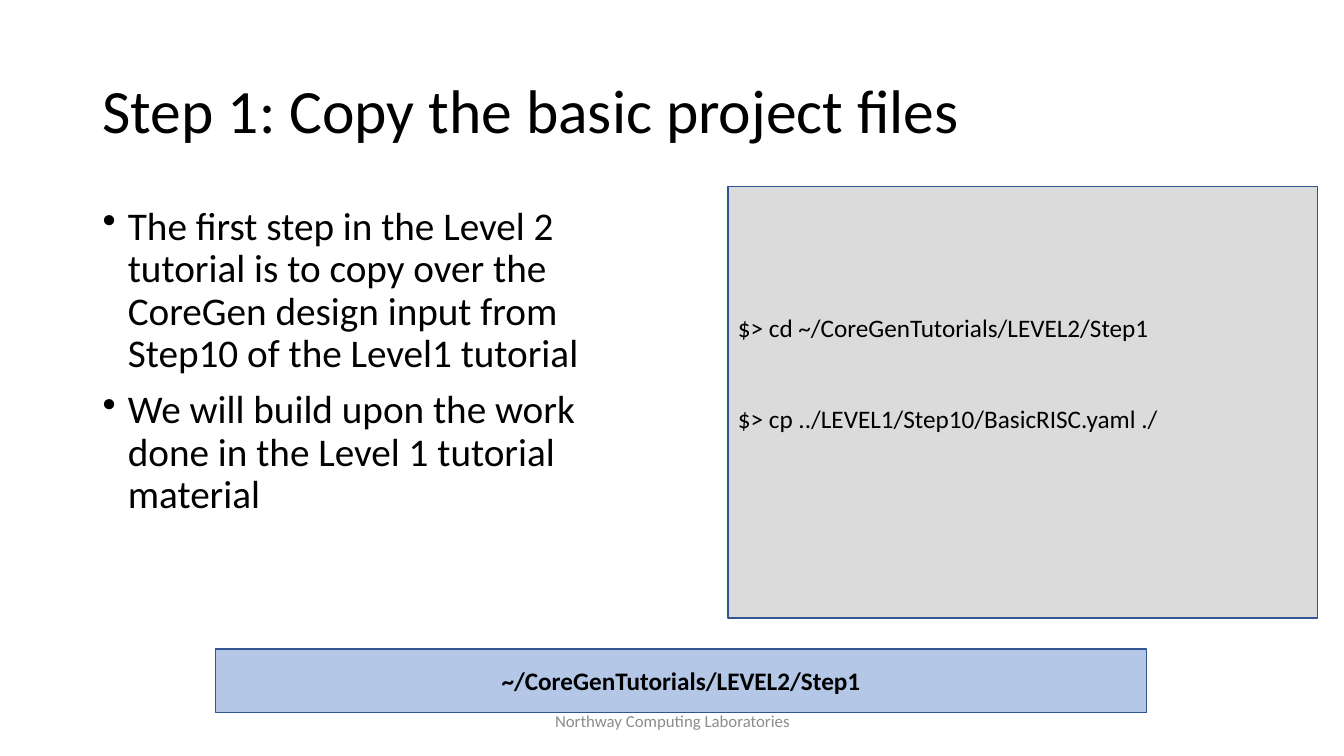
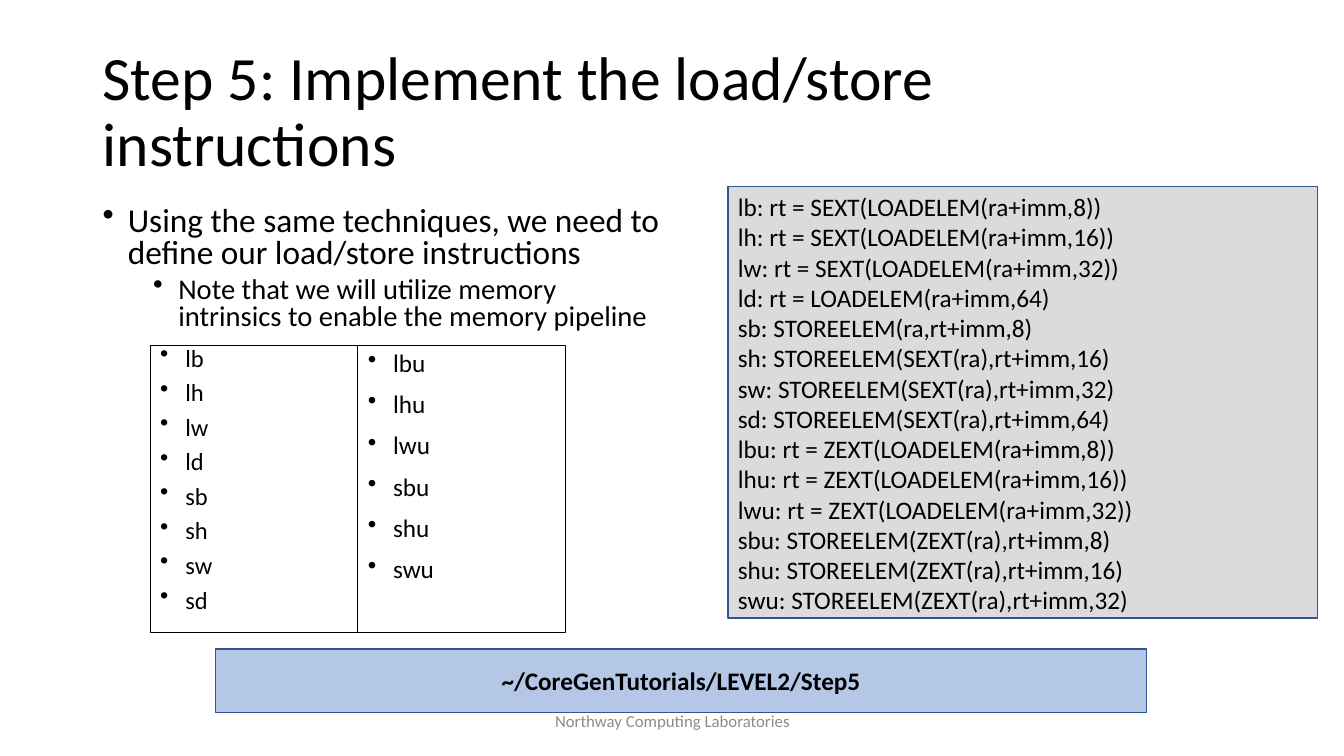
from dataclasses import dataclass
from typing import Optional

import lxml.etree
import pptx
import pptx.dml.color
import pptx.enum.shapes
import pptx.enum.text
import pptx.oxml.ns
import pptx.util

Inches = pptx.util.Inches
Pt = pptx.util.Pt
ALIGN = pptx.enum.text.PP_ALIGN
ANCHOR = pptx.enum.text.MSO_ANCHOR

FONT = "Calibri"
BLACK, GREY = "000000", "8C8C8C"
CODE_FILL, PATH_FILL, PANEL_LINE = "DBDBDB", "B4C7E7", "325491"
FOOTER = "Northway Computing Laboratories"


@dataclass(frozen=True)
class Box:
    left: float
    top: float
    width: float
    height: float


@dataclass(frozen=True)
class TextStyle:
    size: float
    color: str = BLACK
    bold: bool = False
    align: ALIGN = ALIGN.LEFT
    line_spacing: float = 1.0
    space_before: float = 0
    bullet_indent: Optional[float] = None
    level: int = 0


@dataclass(frozen=True)
class Line:
    text: str
    style: TextStyle


@dataclass(frozen=True)
class Step:
    title: str
    body: list[Line]
    code: list[Line]
    directory: str
    code_inset: float = 0.05


TITLE_BOX = Box(0.92, 0.4, 11.45, 1.45)
BODY_BOX = Box(0.92, 2, 5.75, 4.32)
CODE_BOX = Box(7.22, 1.85, 5.85, 4.28)
PATH_BOX = Box(2.14, 6.44, 9.23, 0.63)
FOOTER_BOX = Box(4.42, 6.95, 4.5, 0.4)
MNEMONIC_BOX = Box(1.49, 3.43, 2.06, 2.85)

TITLE = TextStyle(44, line_spacing=0.9)
PATH = TextStyle(18, bold=True, align=ALIGN.CENTER)
FOOTNOTE = TextStyle(12, GREY, align=ALIGN.CENTER)
CODE = TextStyle(18)
COMMAND = TextStyle(18, space_before=43.2)
POINT = TextStyle(28, line_spacing=0.9, space_before=10, bullet_indent=0.25)
TIGHT_POINT = TextStyle(23.8, line_spacing=0.8, space_before=10, bullet_indent=0.25)
TIGHT_SUBPOINT = TextStyle(20.4, line_spacing=0.8, space_before=5, bullet_indent=0.75, level=1)
SIGNED = TextStyle(17.5, line_spacing=0.7, space_before=10, bullet_indent=0.25)
UNSIGNED = TextStyle(18, line_spacing=0.9, space_before=10, bullet_indent=0.25)


def styled(style: TextStyle, *texts: str) -> list[Line]:
    return [Line(text, style) for text in texts]


STEPS = [
    Step(
        "Step 1: Copy the basic project files",
        styled(
            POINT,
            "The first step in the Level 2 tutorial is to copy over the CoreGen design input "
            "from Step10 of the Level1 tutorial",
            "We will build upon the work done in the Level 1 tutorial material",
        ),
        styled(
            COMMAND,
            "$> cd ~/CoreGenTutorials/LEVEL2/Step1",
            "$> cp ../LEVEL1/Step10/BasicRISC.yaml ./",
        ),
        "~/CoreGenTutorials/LEVEL2/Step1",
        code_inset=1.25,
    ),
    Step(
        "Step 5: Implement the load/store instructions",
        [
            Line("Using the same techniques, we need to define our load/store instructions",
                 TIGHT_POINT),
            Line("Note that we will utilize memory intrinsics to enable the memory pipeline",
                 TIGHT_SUBPOINT),
        ],
        styled(
            CODE,
            "lb: rt = SEXT(LOADELEM(ra+imm,8))",
            "lh: rt = SEXT(LOADELEM(ra+imm,16))",
            "lw: rt = SEXT(LOADELEM(ra+imm,32))",
            "ld: rt = LOADELEM(ra+imm,64)",
            "sb: STOREELEM(ra,rt+imm,8)",
            "sh: STOREELEM(SEXT(ra),rt+imm,16)",
            "sw: STOREELEM(SEXT(ra),rt+imm,32)",
            "sd: STOREELEM(SEXT(ra),rt+imm,64)",
            "lbu: rt = ZEXT(LOADELEM(ra+imm,8))",
            "lhu: rt = ZEXT(LOADELEM(ra+imm,16))",
            "lwu: rt = ZEXT(LOADELEM(ra+imm,32))",
            "sbu: STOREELEM(ZEXT(ra),rt+imm,8)",
            "shu: STOREELEM(ZEXT(ra),rt+imm,16)",
            "swu: STOREELEM(ZEXT(ra),rt+imm,32)",
        ),
        "~/CoreGenTutorials/LEVEL2/Step5",
    ),
]

MNEMONICS = [
    styled(SIGNED, "lb", "lh", "lw", "ld", "sb", "sh", "sw", "sd"),
    styled(UNSIGNED, "lbu", "lhu", "lwu", "sbu", "shu", "swu"),
]


def rgb(color: str) -> pptx.dml.color.RGBColor:
    return pptx.dml.color.RGBColor.from_string(color)


def edges(box: Box) -> list[int]:
    return [Inches(side) for side in (box.left, box.top, box.width, box.height)]


def add_bullet(paragraph, indent: float) -> None:
    properties = paragraph._p.get_or_add_pPr()
    properties.set("marL", str(Inches(indent)))
    properties.set("indent", str(Inches(-0.25)))
    bullet = lxml.etree.SubElement(properties, pptx.oxml.ns.qn("a:buChar"))
    bullet.set("char", "•")


def write(frame, lines: list[Line], anchor: ANCHOR) -> None:
    frame.word_wrap = True
    frame.vertical_anchor = anchor
    for index, line in enumerate(lines):
        style = line.style
        paragraph = frame.add_paragraph() if index else frame.paragraphs[0]
        paragraph.text = line.text
        paragraph.level = style.level
        paragraph.alignment = style.align
        paragraph.line_spacing = style.line_spacing
        paragraph.space_before = Pt(style.space_before if index else 0)
        if style.bullet_indent is not None:
            add_bullet(paragraph, style.bullet_indent)
        paragraph.font.name = FONT
        paragraph.font.size = Pt(style.size)
        paragraph.font.bold = style.bold
        paragraph.font.color.rgb = rgb(style.color)


def add_text(slide, box: Box, lines: list[Line], anchor: ANCHOR = ANCHOR.TOP) -> None:
    write(slide.shapes.add_textbox(*edges(box)).text_frame, lines, anchor)


def add_panel(
    slide,
    box: Box,
    lines: list[Line],
    fill: Optional[str] = None,
    outline: str = PANEL_LINE,
    outline_width: float = 1,
    anchor: ANCHOR = ANCHOR.TOP,
    top_inset: float = 0.05,
) -> None:
    panel = slide.shapes.add_shape(pptx.enum.shapes.MSO_SHAPE.RECTANGLE, *edges(box))
    panel.shadow.inherit = False
    if fill:
        panel.fill.solid()
        panel.fill.fore_color.rgb = rgb(fill)
    else:
        panel.fill.background()
    panel.line.color.rgb = rgb(outline)
    panel.line.width = Pt(outline_width)
    panel.text_frame.margin_top = Inches(top_inset)
    write(panel.text_frame, lines, anchor)


def add_step(deck, step: Step):
    slide = deck.slides.add_slide(deck.slide_layouts[6])
    add_text(slide, TITLE_BOX, styled(TITLE, step.title), ANCHOR.MIDDLE)
    add_text(slide, BODY_BOX, step.body)
    add_text(slide, FOOTER_BOX, styled(FOOTNOTE, FOOTER), ANCHOR.MIDDLE)
    add_panel(slide, PATH_BOX, styled(PATH, step.directory), PATH_FILL, anchor=ANCHOR.MIDDLE)
    add_panel(slide, CODE_BOX, step.code, CODE_FILL, top_inset=step.code_inset)
    return slide


def add_mnemonics(slide) -> None:
    first = MNEMONIC_BOX
    for column, names in enumerate(MNEMONICS):
        box = Box(first.left + column * first.width, first.top, first.width, first.height)
        add_panel(slide, box, names, outline=BLACK, outline_width=0.75)


def main() -> None:
    deck = pptx.Presentation()
    deck.slide_width = Inches(13.33)
    deck.slide_height = Inches(7.5)
    copy_step, load_store_step = STEPS
    add_step(deck, copy_step)
    add_mnemonics(add_step(deck, load_store_step))
    deck.save("out.pptx")


if __name__ == "__main__":
    main()
